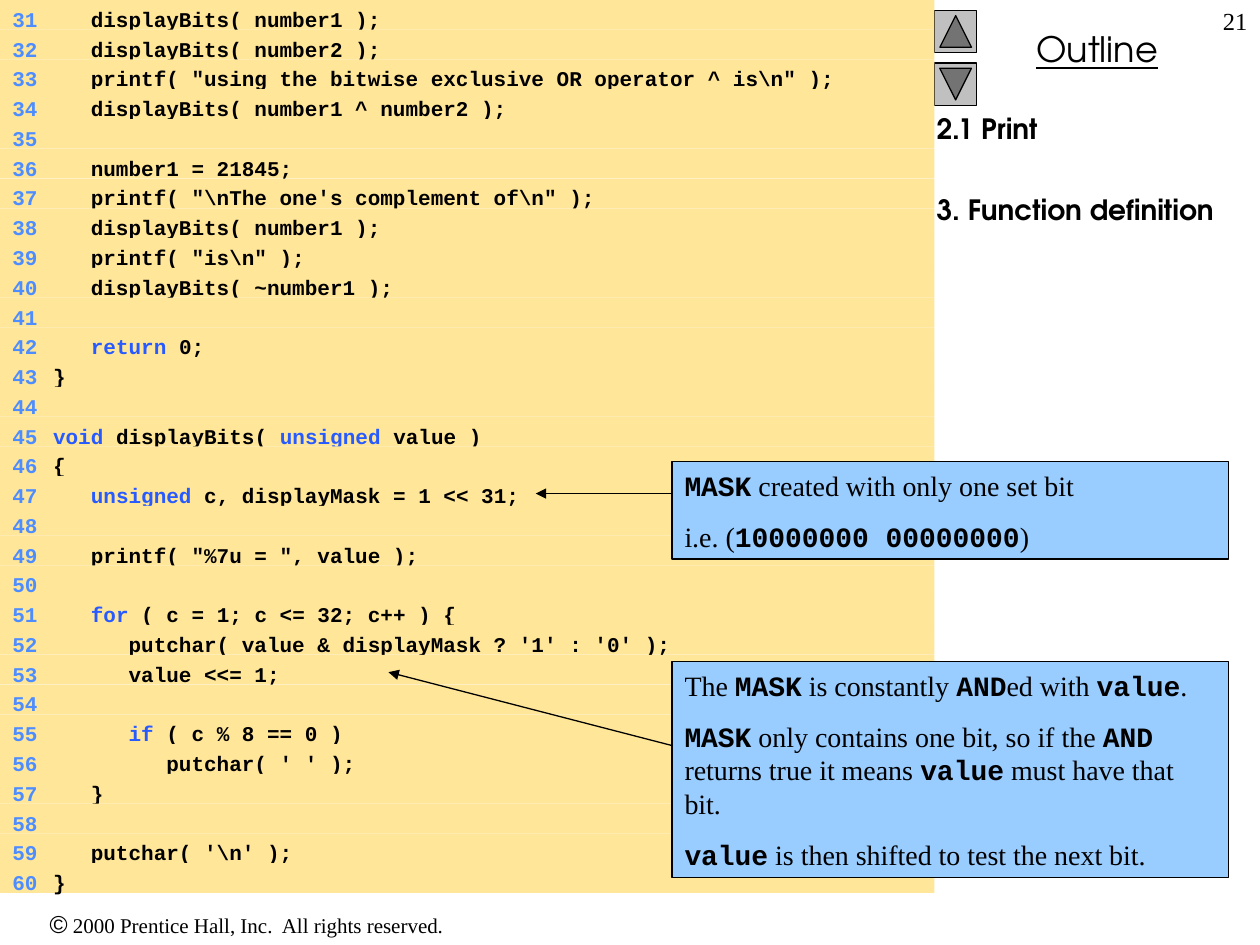
from dataclasses import dataclass
from lxml.etree import SubElement
from pptx import Presentation
from pptx.dml.color import RGBColor as RGB
from pptx.enum.shapes import MSO_CONNECTOR as LINE, MSO_SHAPE as SHAPE
from pptx.enum.text import MSO_ANCHOR as ANCHOR, MSO_AUTO_SIZE as FIT, PP_ALIGN as ALIGN
from pptx.oxml.ns import qn
from pptx.util import Cm, Pt

FIRST_LINE = 31
CODE = [
    "   displayBits( number1 );",
    "   displayBits( number2 );",
    r'   printf( "using the bitwise exclusive OR operator ^ is\n" );',
    "   displayBits( number1 ^ number2 );",
    "",
    "   number1 = 21845;",
    r'''   printf( "\nThe one's complement of\n" );''',
    "   displayBits( number1 );",
    r'   printf( "is\n" );',
    "   displayBits( ~number1 );",
    "",
    "   `return` 0;",
    "}",
    "",
    "`void` displayBits( `unsigned` value )",
    "{",
    "   `unsigned` c, displayMask = 1 << 31;",
    "",
    '   printf( "%7u = ", value );',
    "",
    "   `for` ( c = 1; c <= 32; c++ ) {",
    "      putchar( value & displayMask ? '1' : '0' );",
    "      value <<= 1;",
    "",
    "      `if` ( c % 8 == 0 )",
    "         putchar( ' ' );",
    "   }",
    "",
    r"   putchar( '\n' );",
    "}",
]
TITLE = "Outline"
TOPICS = ["2.1 Print", "3. Function definition"]
PAGE = "21"
COPYRIGHT = ("©", " 2000 Prentice Hall, Inc.  All rights reserved.")
CALLOUTS = [
    dict(top=9.31, height=1.96, start=9.95, tip=(10.8, 9.95), lines=[
        "`MASK` created with only one set bit",
        "i.e. (`10000000 00000000`)",
    ]),
    dict(top=13.34, height=4.35, start=15.03, tip=(7.83, 13.55), lines=[
        "The `MASK` is constantly `AND`ed with `value`.",
        "`MASK` only contains one bit, so if the `AND` returns true "
        "it means `value` must have that bit.",
        "`value` is then shifted to test the next bit.",
    ]),
]
BUTTONS = [(0.21, 90), (1.27, 270)]

ROW_H, CODE_W = 0.6, 18.84
CALLOUT_X, CALLOUT_W = 13.55, 11.22
TABS = [(0, "l"), (0.38, "r"), (0.82, "l")]


@dataclass(frozen=True)
class Theme:
    ink: str = "000000"
    code_bg: str = "FFE699"
    number: str = "4D8DFF"
    keyword: str = "275AFF"
    callout_bg: str = "99CCFF"
    button: str = "C0C0C0"
    mono: str = "Courier New"
    serif: str = "Times New Roman"
    sans: str = "Arial"
    display: str = "TeX Gyre Adventor"
    small: int = 12
    medium: int = 14
    body: int = 16
    title: int = 20
    line: float = 0.75


T = Theme()
PLAIN = dict(font=T.serif, size=T.body)
TERM = dict(font=T.mono, size=T.body, bold=True)
SOURCE = dict(font=T.mono, size=T.small, bold=True)


def add_run(p, text, font, size, color=T.ink, bold=False, underline=False):
    r = p.add_run()
    r.text = text
    f = r.font
    f.name, f.size, f.bold, f.underline = font, Pt(size), bold, underline
    f.color.rgb = RGB.from_string(color)


def add_marked(p, text, plain, marked):
    for i, part in enumerate(text.split("`")):
        if part:
            add_run(p, part, **(marked if i % 2 else plain))


def frame(sp, align=ALIGN.LEFT, fit=FIT.NONE):
    tf = sp.text_frame
    tf.word_wrap, tf.auto_size, tf.vertical_anchor = True, fit, ANCHOR.TOP
    tf.margin_left = tf.margin_right = Cm(0.25)
    tf.margin_top = tf.margin_bottom = Cm(0.13)
    tf.paragraphs[0].alignment = align
    tf.paragraphs[0].space_before = Pt(0)
    return tf


def next_paragraph(tf, i, gap):
    if i == 0:
        return tf.paragraphs[0]
    p = tf.add_paragraph()
    p.alignment, p.space_before = ALIGN.LEFT, Pt(gap)
    return p


def place(sp, *box):
    sp.left, sp.top, sp.width, sp.height = map(Cm, box)


def add_box(s, kind, box, fill, outlined=True):
    sp = s.shapes.add_shape(kind, *map(Cm, box))
    sp.shadow.inherit = False
    sp.fill.solid()
    sp.fill.fore_color.rgb = RGB.from_string(fill)
    if outlined:
        sp.line.color.rgb = RGB.from_string(T.ink)
        sp.line.width = Pt(T.line)
    else:
        sp.line.fill.background()
    return sp


def add_arrow(s, start, tip):
    c = s.shapes.add_connector(LINE.STRAIGHT, *map(Cm, start + tip))
    c.line.color.rgb = RGB.from_string(T.ink)
    c.line.width = Pt(T.line)
    SubElement(c.line._get_or_add_ln(), qn("a:tailEnd"), type="triangle")
    SubElement(c._element.spPr, qn("a:effectLst"))


def add_code_row(s, i, code):
    sp = add_box(s, SHAPE.RECTANGLE, (0, i * ROW_H, CODE_W, ROW_H), T.code_bg, False)
    p = frame(sp).paragraphs[0]
    tabs = SubElement(p._p.get_or_add_pPr(), qn("a:tabLst"))
    for pos, align in TABS:
        SubElement(tabs, qn("a:tab"), pos=str(int(Cm(pos))), algn=align)
    add_run(p, f"\t{FIRST_LINE + i}\t", color=T.number, **SOURCE)
    add_marked(p, code, SOURCE, dict(SOURCE, color=T.keyword))


def add_callout(s, top, height, start, tip, lines):
    sp = add_box(s, SHAPE.RECTANGLE, (CALLOUT_X, top, CALLOUT_W, height), T.callout_bg)
    tf = frame(sp, fit=FIT.SHAPE_TO_FIT_TEXT)
    for i, line in enumerate(lines):
        add_marked(next_paragraph(tf, i, 10), line, PLAIN, TERM)
    add_arrow(s, (CALLOUT_X, start), tip)


def main():
    prs = Presentation()
    prs.slide_width, prs.slide_height = Cm(25.4), Cm(19.05)
    s = prs.slides.add_slide(prs.slide_layouts[0])
    title, topics = s.placeholders

    place(title, CODE_W, 0.42, 6.56, 1.11)
    p = frame(title, ALIGN.CENTER).paragraphs[0]
    add_run(p, TITLE, T.display, T.title, underline=True)

    place(topics, 18.63, 2.12, 6.77, 16.93)
    tf = frame(topics)
    for i, topic in enumerate(TOPICS):
        add_run(next_paragraph(tf, i, 27), topic, T.display, T.body, bold=True)

    for top, angle in BUTTONS:
        box = (CODE_W, top, 0.85, 0.85)
        add_box(s, SHAPE.ACTION_BUTTON_BACK_OR_PREVIOUS, box, T.button).rotation = angle

    for i, code in enumerate(CODE):
        add_code_row(s, i, code)
    for callout in CALLOUTS:
        add_callout(s, **callout)

    sp = s.shapes.add_textbox(Cm(0), Cm(18.2), Cm(9.95), Cm(0.85))
    p = frame(sp, ALIGN.CENTER).paragraphs[0]
    add_run(p, COPYRIGHT[0], T.sans, T.medium)
    add_run(p, COPYRIGHT[1], T.serif, T.small)

    sp = s.shapes.add_textbox(Cm(20.11), Cm(0), Cm(5.29), Cm(1.27))
    add_run(frame(sp, ALIGN.RIGHT).paragraphs[0], PAGE, T.serif, T.medium)

    prs.save("out.pptx")


if __name__ == "__main__":
    main()
